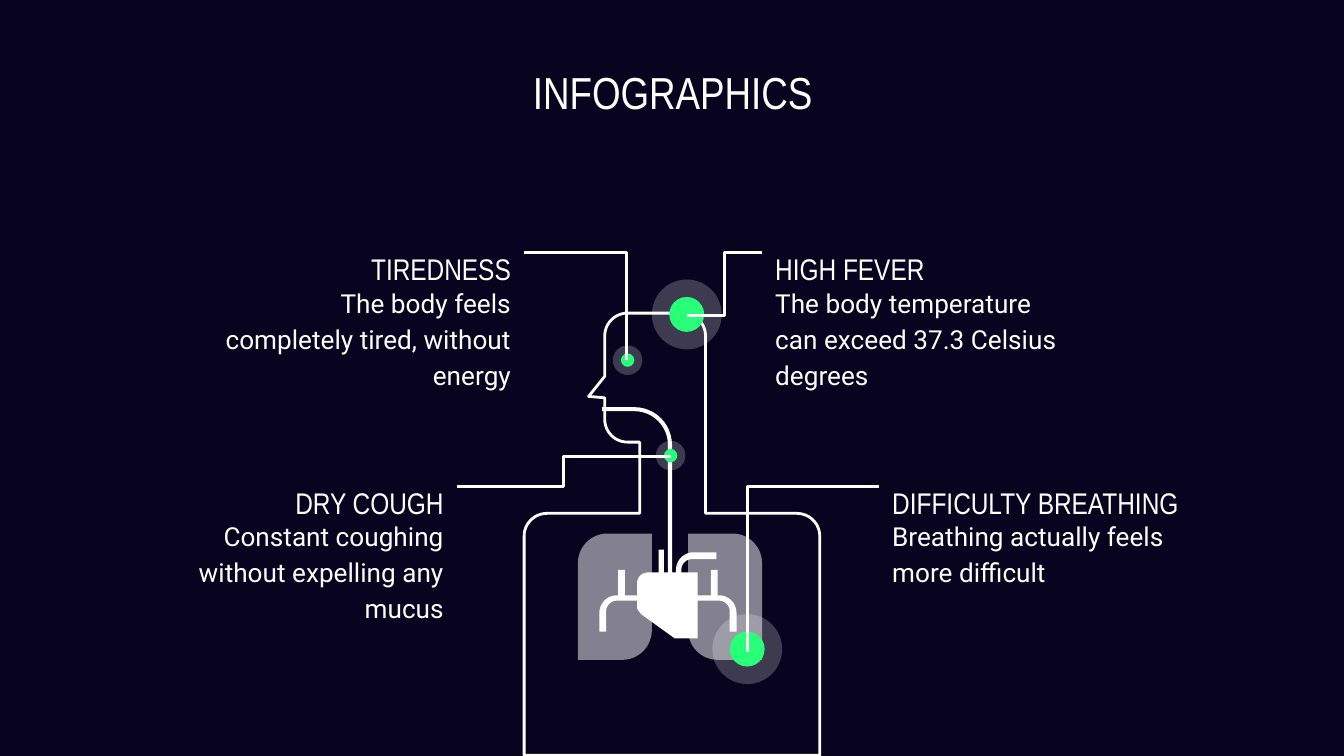
import math

import lxml.etree
import pptx
import pptx.dml.color
import pptx.enum.shapes
import pptx.enum.text
import pptx.oxml.ns
import pptx.util

Inches = pptx.util.Inches
Pt = pptx.util.Pt
RGBColor = pptx.dml.color.RGBColor
qn = pptx.oxml.ns.qn
Align = pptx.enum.text.PP_ALIGN
Anchor = pptx.enum.text.MSO_ANCHOR

NIGHT = RGBColor(0x08, 0x03, 0x1F)
WHITE = RGBColor(0xFF, 0xFF, 0xFF)
GREEN = RGBColor(0x27, 0xFF, 0x78)

BODY = [(4.5, 2.33, 0.17), (4.5, 2.8), (4.38, 2.95), (4.5, 2.96), (4.5, 3.29, 0.17),
        (4.76, 3.29), (4.76, 3.82), (3.9, 3.82, 0.17), (3.9, 5.62), (6.1, 5.62),
        (6.1, 3.82, 0.17), (5.25, 3.82), (5.25, 2.33, 0.17)]
LUNGS = [
    [(4.3, 3.97, 0.22), (4.3, 4.91), (4.85, 4.91, 0.22), (4.85, 3.97)],
    [(5.12, 3.97), (5.12, 4.91, 0.22), (5.67, 4.91), (5.67, 3.97, 0.22)],
]
THROAT = [(4.48, 3.03), (4.48, 3.06), (4.97, 3.06, 0.25), (4.97, 4.53), (5, 4.53),
          (5, 3.03, 0.28)]
HEART = [(4.9, 4.09), (4.9, 4.26), (4.74, 4.26, 0.08), (4.74, 4.43), (4.65, 4.43),
         (4.65, 4.24), (4.6, 4.24), (4.6, 4.43), (4.46, 4.43, 0.13), (4.46, 4.7),
         (4.51, 4.7), (4.51, 4.47, 0.08), (4.74, 4.47), (4.74, 4.53), (4.77, 4.57),
         (5.02, 4.75), (5.19, 4.75), (5.19, 4.47), (5.43, 4.47, 0.08), (5.43, 4.7),
         (5.48, 4.7), (5.48, 4.43, 0.13), (5.34, 4.43), (5.34, 4.24), (5.29, 4.24),
         (5.29, 4.43), (5.19, 4.43), (5.19, 4.26), (5.07, 4.26), (5.07, 4.16, 0.08),
         (5.33, 4.16), (5.33, 4.11), (5.03, 4.11, 0.13), (5.03, 4.26), (4.94, 4.26),
         (4.94, 4.09)]
SPOTS = [(4.99, 3.39, 0.11, 0.05), (5.11, 2.34, 0.26, 0.13),
         (5.56, 4.83, 0.26, 0.13), (4.67, 2.68, 0.11, 0.05)]
NOTES = [
    (5.67, 1.66, 2.14, Align.LEFT, "HIGH FEVER",
     "The body temperature can exceed 37.3 Celsius degrees"),
    (3.9, 1.66, 2.14, Align.RIGHT, "TIREDNESS",
     "The body feels completely tired, without energy"),
    (6.54, 3.4, 2.39, Align.LEFT, "DIFFICULTY BREATHING",
     "Breathing actually feels more difficult"),
    (3.4, 3.4, 2.14, Align.RIGHT, "DRY COUGH",
     "Constant coughing without expelling any mucus"),
]
LEADS = [(3.9, 1.88, 4.66, 2.68, 2), (5.67, 1.88, 5.11, 2.35, 3),
         (3.4, 3.62, 4.99, 3.4, 3), (6.54, 3.62, 5.56, 4.85, 2)]


class Board:
    """Draws styled elements on the current slide."""

    head = "Arial Narrow"
    text = "Roboto"
    line = Pt(1.5)
    wide = 2.44

    def __init__(self, slide):
        self.slide = slide
        self.shapes = slide.shapes
        slide.background.fill.solid()
        slide.background.fill.fore_color.rgb = NIGHT

    def label(self, box, words, font, size, align, top=0.1, low=0, mid=False, lead=None):
        shape = self.shapes.add_textbox(*map(Inches, box))
        frame = shape.text_frame
        frame.text = words
        frame.word_wrap = True
        frame.margin_left = frame.margin_right = Inches(0.1)
        frame.margin_top, frame.margin_bottom = Inches(top), Inches(low)
        frame.vertical_anchor = Anchor.MIDDLE if mid else Anchor.TOP
        para = frame.paragraphs[0]
        para.alignment = align
        if lead:
            para.line_spacing = lead
            para.space_after = Pt(16)
        run = para.runs[0].font
        run.name, run.size, run.color.rgb = font, Pt(size), WHITE

    def note(self, edge, top, wide, align, title, words):
        def left(width):
            return edge - width if align == Align.RIGHT else edge

        self.label((left(wide), top, wide, 0.44), title, self.head, 16, align,
                   top=0.2, mid=True, lead=1.15)
        self.label((left(self.wide), top + 0.34, self.wide, 0.85), words, self.text, 14,
                   align, lead=1.15)

    def paint(self, shape, color, alpha=100):
        shape.shadow.inherit = False
        shape.line.fill.background()
        shape.fill.solid()
        shape.fill.fore_color.rgb = color
        if alpha < 100:
            tint = shape._element.spPr.find(".//" + qn("a:srgbClr"))
            lxml.etree.SubElement(tint, qn("a:alpha")).set("val", str(alpha * 1000))

    def trace(self, path):
        dots = []
        for i, (x, y, *rest) in enumerate(path):
            if not rest:
                dots.append((x, y))
                continue
            ends = []
            for u, v, *_ in (path[i - 1], path[(i + 1) % len(path)]):
                part = rest[0] / math.dist((x, y), (u, v))
                ends.append((part * (u - x), part * (v - y)))
            (a, b), (c, d) = ends
            for step in range(13):
                turn = step * math.pi / 24
                p, q = 1 - math.sin(turn), 1 - math.cos(turn)
                dots.append((x + a * p + c * q, y + b * p + d * q))
        spots = [(Inches(x), Inches(y)) for x, y in dots]
        pen = self.shapes.build_freeform(*spots[0], scale=1.0)
        pen.add_line_segments(spots[1:], close=True)
        return pen.convert_to_shape()

    def solid(self, path, alpha=100):
        self.paint(self.trace(path), WHITE, alpha)

    def frame(self, path):
        shape = self.trace(path)
        shape.shadow.inherit = False
        shape.fill.background()
        shape.line.color.rgb, shape.line.width = WHITE, self.line

    def disc(self, x, y, r, color, alpha=100):
        box = map(Inches, (x - r, y - r, 2 * r, 2 * r))
        oval = pptx.enum.shapes.MSO_SHAPE.OVAL
        self.paint(self.shapes.add_shape(oval, *box), color, alpha)

    def spot(self, x, y, halo, core):
        self.disc(x, y, halo, WHITE, 22)
        self.disc(x, y, core, GREEN)

    def lead(self, x, y, u, v, bend):
        kind = pptx.enum.shapes.MSO_CONNECTOR.ELBOW
        wire = self.shapes.add_connector(kind, *map(Inches, (x, y, u, v)))
        wire.line.color.rgb, wire.line.width = WHITE, self.line
        props = wire._element.spPr
        props.find(qn("a:prstGeom")).set("prst", f"bentConnector{bend}")
        lxml.etree.SubElement(props, qn("a:effectLst"))


def main():
    deck = pptx.Presentation()
    deck.slide_width, deck.slide_height = Inches(10), Inches(5.625)
    board = Board(deck.slides.add_slide(deck.slide_layouts[6]))
    board.label((1.03, 0.38, 7.95, 0.56), "INFOGRAPHICS", board.head, 24, Align.CENTER,
                low=0.1)
    for note in NOTES:
        board.note(*note)
    board.frame(BODY)
    for lung in LUNGS:
        board.solid(lung, 50)
    board.solid(THROAT)
    board.solid(HEART)
    for spot in SPOTS:
        board.spot(*spot)
    for lead in LEADS:
        board.lead(*lead)
    deck.save("out.pptx")


if __name__ == "__main__":
    main()
